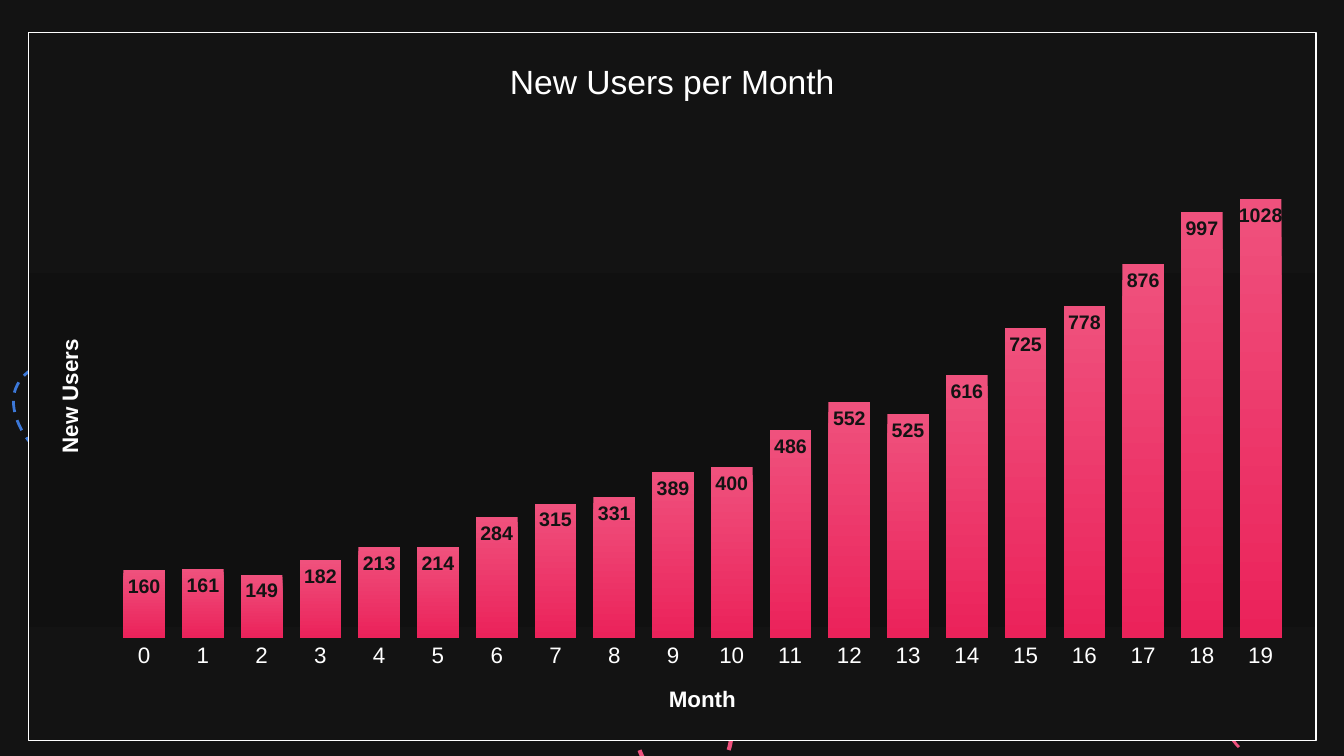
from lxml import etree
from pptx import Presentation
from pptx import util as u
from pptx.chart.data import CategoryChartData
from pptx.dml.color import RGBColor
from pptx.enum import chart as ch, dml, shapes
from pptx.oxml import parse_xml
from pptx.oxml.ns import nsdecls, qn

TITLE = "New Users per Month"
CATEGORY_TITLE, VALUE_TITLE = "Month", "New Users"
NEW_USERS = [160, 161, 149, 182, 213, 214, 284, 315, 331, 389,
             400, 486, 552, 525, 616, 725, 778, 876, 997, 1028]

THEME = {
    "font": "Arial", "dark": "131313", "light": "FFFFFF", "pink": "EF517D", "blue": "3C78D8",
    "title": 18, "axis": 12, "label": 10.5,
    "panel": [(0, "131313"), (68, "101010"), (100, "131313")],
    "bars": [(0, "EF517D"), (100, "EB225A")],
}
SLIDE_SIZE = (720, 405)
CHART_BOX = (14.9, 17, 690.4, 380.2)
PLOT = {"x": 0.067, "y": 0.131, "w": 0.913, "h": 0.7245}  # shares of the chart box
CIRCLE_BOX = (341.3, 368.6, 50.4, 50.4)

# Start point, then cubic segments (two controls and an end point), before rotation
SQUIGGLE_SIZE, SQUIGGLE_ROTATION = (169.2, 99.4), 248.5
SQUIGGLE_START = (0, 3.5)
SQUIGGLE = [
    [(10.1, -0.9), (26.6, -1.4), (33.8, 7.7)],
    [(45.7, 20.8), (32.4, 46.6), (43.6, 59.5)],
    [(61.1, 78), (93.9, 69.2), (118.5, 69.6)],
    [(124.9, 69.1), (132.7, 65.2), (137.2, 69.3)],
    [(144.2, 75.1), (141.5, 88), (147.3, 94.9)],
    [(152, 100.6), (164, 101.5), (169.1, 96.5)],
]
SQUIGGLES = [((-54.7, 93.6), "blue"), ((591.1, 254.9), "pink")]  # left and top, colour


def color(name):
    return RGBColor.from_string(THEME[name])


def set_font(font, size, color_name, bold=False):
    values = {"name": THEME["font"], "size": u.Pt(size), "bold": bold}
    for name, value in values.items():
        setattr(font, name, value)
    font.color.rgb = color(color_name)


def set_outline(shape, color_name, width):
    shape.shadow.inherit = False
    shape.fill.background()
    shape.line.color.rgb = color(color_name)
    shape.line.width = u.Pt(width)
    shape.line.dash_style = dml.MSO_LINE.DASH


def add_squiggle(slide, position, color_name):
    """Build an open freeform, then turn its straight steps into cubic curves."""
    builder = slide.shapes.build_freeform(*map(u.Pt, SQUIGGLE_START))
    builder.add_line_segments([tuple(map(u.Pt, segment[-1])) for segment in SQUIGGLE], close=False)
    shape = builder.convert_to_shape()
    width, height = map(u.Pt, SQUIGGLE_SIZE)
    frame = {"left": u.Pt(position[0]), "top": u.Pt(position[1]),
             "width": width, "height": height, "rotation": SQUIGGLE_ROTATION}
    for name, value in frame.items():
        setattr(shape, name, value)

    outline = next(shape.element.iter(qn("a:path")))
    outline.set("w", str(width))
    outline.set("h", str(height))
    for child in list(outline):
        outline.remove(child)
    commands = [("a:moveTo", [SQUIGGLE_START])] + [("a:cubicBezTo", s) for s in SQUIGGLE]
    for tag, points in commands:
        command = etree.SubElement(outline, qn(tag))
        for x, y in points:
            etree.SubElement(command, qn("a:pt"), x=str(u.Pt(x)), y=str(u.Pt(y)))
    set_outline(shape, color_name, 1.5)


def gradient_properties(stops, line=""):
    """Return chart shape properties with a top-to-bottom gradient."""
    stop_xml = "".join(
        f'<a:gs pos="{share * 1000}"><a:srgbClr val="{value}"/></a:gs>' for share, value in stops)
    return parse_xml(
        f'<c:spPr {nsdecls("c", "a")}><a:gradFill><a:gsLst>{stop_xml}</a:gsLst>'
        f'<a:lin ang="5400000" scaled="0"/></a:gradFill>{line}</c:spPr>')


def set_title(title_object, title, size, bold):
    frame = title_object.text_frame
    frame.text = title
    set_font(frame.paragraphs[0].runs[0].font, size, "light", bold)


def add_chart(slide):
    data = CategoryChartData()
    data.categories = [str(month) for month in range(len(NEW_USERS))]
    data.add_series("Series 1", NEW_USERS)
    chart = slide.shapes.add_chart(
        ch.XL_CHART_TYPE.COLUMN_CLUSTERED, *map(u.Pt, CHART_BOX), data).chart
    chart.has_legend = False
    set_font(chart.font, 10, "light")
    set_title(chart.chart_title, TITLE, THEME["title"], False)
    chart.chart_title.include_in_layout = False

    months, users = chart.category_axis, chart.value_axis
    set_title(months.axis_title, CATEGORY_TITLE, THEME["axis"], True)
    set_title(users.axis_title, VALUE_TITLE, THEME["axis"], True)
    months.major_tick_mark = ch.XL_TICK_MARK.NONE
    months.format.line.fill.background()
    set_font(months.tick_labels.font, THEME["axis"], "light")
    limits = {"visible": False, "has_major_gridlines": False,
              "minimum_scale": 0, "maximum_scale": 1200}
    for name, value in limits.items():
        setattr(users, name, value)

    plot = chart.plots[0]
    plot.gap_width, plot.vary_by_categories, plot.has_data_labels = 41, False, True
    labels = plot.data_labels
    labels.show_value = True
    labels.position = ch.XL_LABEL_POSITION.INSIDE_END
    set_font(labels.font, THEME["label"], "dark", True)

    bars = plot.series[0].format.fill
    bars.gradient()
    bars.gradient_angle = 270
    for stop, (share, value) in zip(bars.gradient_stops, THEME["bars"]):
        stop.position = share / 100
        stop.color.rgb = RGBColor.from_string(value)

    border = (f'<a:ln w="{u.Pt(0.75)}"><a:solidFill><a:srgbClr val="{THEME["light"]}"/>'
              '</a:solidFill></a:ln>')
    chart_xml = chart._chartSpace.find(qn("c:chart"))
    chart_xml.addnext(gradient_properties(THEME["panel"], border))
    plot_area = chart_xml.find(qn("c:plotArea"))
    layout = plot_area.find(qn("c:layout"))
    if layout is None:
        layout = etree.Element(qn("c:layout"))
        plot_area.insert(0, layout)
    manual = etree.SubElement(layout, qn("c:manualLayout"))
    settings = {"layoutTarget": "inner", "xMode": "edge", "yMode": "edge", **PLOT}
    for name, value in settings.items():
        etree.SubElement(manual, qn(f"c:{name}")).set("val", str(value))


def main():
    presentation = Presentation()
    presentation.slide_width, presentation.slide_height = map(u.Pt, SLIDE_SIZE)
    slide = presentation.slides.add_slide(presentation.slide_layouts[6])
    slide.background.fill.solid()
    slide.background.fill.fore_color.rgb = color("dark")
    circle = slide.shapes.add_shape(shapes.MSO_SHAPE.OVAL, *map(u.Pt, CIRCLE_BOX))
    set_outline(circle, "pink", 2.25)
    for position, color_name in SQUIGGLES:
        add_squiggle(slide, position, color_name)
    add_chart(slide)
    presentation.save("out.pptx")


if __name__ == "__main__":
    main()
